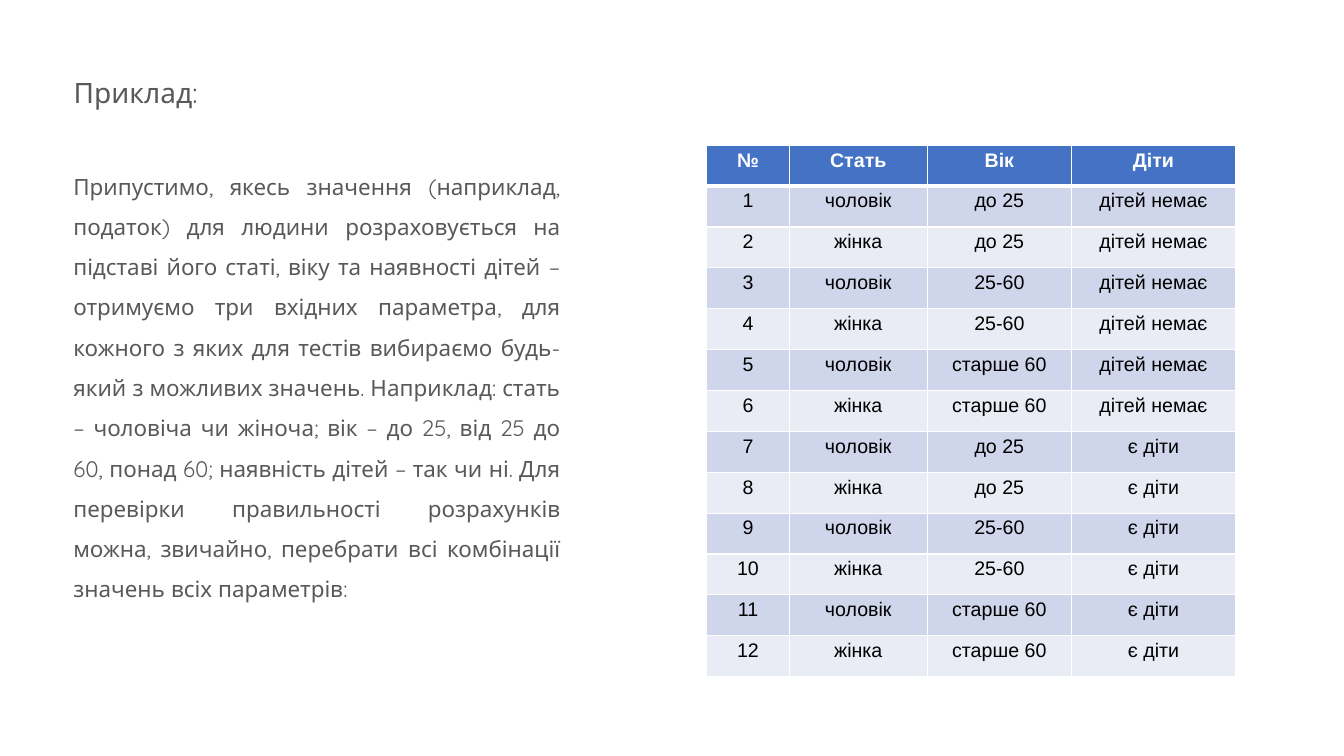
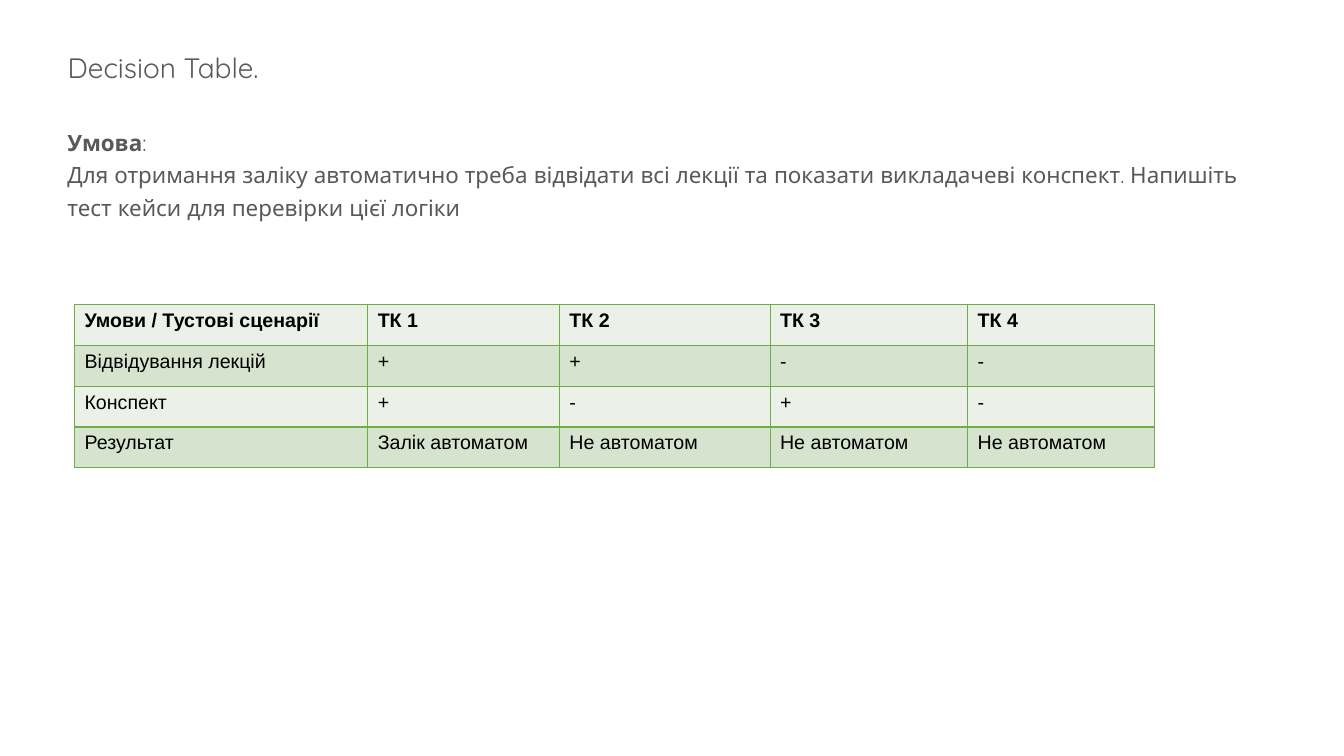
import itertools
from dataclasses import dataclass

import pptx
import pptx.dml.color
import pptx.enum.text
import pptx.oxml
import pptx.oxml.ns
import pptx.util

Cm = pptx.util.Cm
Pt = pptx.util.Pt
ALIGN = pptx.enum.text.PP_ALIGN
TITLE_ONLY = 5


@dataclass(frozen=True)
class Theme:
    text_font: str = "Quicksand"
    table_font: str = "Arial"
    title_size: int = 20
    body_size: int = 16
    cell_size: int = 14
    grey: str = "595959"
    black: str = "000000"
    white: str = "FFFFFF"
    blue: str = "4472C4"
    blue_bands: tuple = ("CFD5EA", "E9EBF5")
    green: str = "70AD47"
    green_header: str = "EBF1E9"
    green_bands: tuple = ("D5E3CF", "EBF1E9")


THEME = Theme()

CHILDREN = ["дітей немає", "є діти"]
AGES = ["до 25", "25-60", "старше 60"]
SEXES = ["чоловік", "жінка"]
COMBINATIONS = [
    (str(number), sex, age, children)
    for number, (children, age, sex) in enumerate(itertools.product(CHILDREN, AGES, SEXES), 1)
]

# Lengths are in centimetres; a paragraph is a list of (text, bold) spans.
PAGES = [
    {
        "title": "Приклад:",
        "title_at": (1.6, 1.35, 12.78, 2.54),
        "body": [[(
            "Припустимо, якесь значення (наприклад, податок) для людини розраховується "
            "на підставі його статі, віку та наявності дітей – отримуємо три вхідних "
            "параметра, для кожного з яких для тестів вибираємо будь-який з можливих "
            "значень. Наприклад: стать – чоловіча чи жіноча; вік – до 25, від 25 до 60, "
            "понад 60; наявність дітей – так чи ні. Для перевірки правильності "
            "розрахунків можна, звичайно, перебрати всі комбінації значень всіх "
            "параметрів:", False)]],
        "body_at": (1.6, 3.89, 12.78, 13.84),
        "align": ALIGN.JUSTIFY,
        "spacing": 1.5,
        "table": {
            "rows": [("№", "Стать", "Вік", "Діти")] + COMBINATIONS,
            "at": (17.81, 3.66),
            "columns": (2.08, 3.48, 3.63, 4.14),
            "align": ALIGN.CENTER,
            "margins": (0.2, 0.1),
            "header": (THEME.blue, THEME.white),
            "bands": THEME.blue_bands,
            "border": THEME.white,
            "header_rule": 3,
        },
    },
    {
        "title": "Decision Table.",
        "title_at": (1.45, 0.97, 30.1, 2.03),
        "body": [
            [("Умова", True), (":", False)],
            [("Для отримання заліку автоматично треба відвідати всі лекції та показати "
              "викладачеві конспект. Напишіть тест кейси для перевірки цієї логіки", False)],
        ],
        "body_at": (1.45, 3.0, 30.1, 3.58),
        "align": ALIGN.LEFT,
        "spacing": 1.2,
        "table": {
            "rows": [
                ("Умови / Тустові сценарії", "ТК 1", "ТК 2", "ТК 3", "ТК 4"),
                ("Відвідування лекцій", "+", "+", "-", "-"),
                ("Конспект", "+", "-", "+", "-"),
                ("Результат", "Залік автоматом") + ("Не автоматом",) * 3,
            ],
            "at": (1.88, 7.67),
            "columns": (7.39, 4.83, 5.31, 4.98, 4.7),
            "align": ALIGN.LEFT,
            "margins": (0.25, 0.13),
            "header": (THEME.green_header, THEME.black),
            "bands": THEME.green_bands,
            "border": THEME.green,
            "header_rule": 1,
        },
    },
]
ROW_HEIGHT = 1.03


def rgb(value):
    return pptx.dml.color.RGBColor.from_string(value)


def write(frame, paragraphs, *, size, font=THEME.text_font, color=THEME.grey,
          align=ALIGN.LEFT, spacing=1.0):
    """Fill a text frame with paragraphs made of (text, bold) spans."""
    for index, spans in enumerate(paragraphs):
        para = frame.add_paragraph() if index else frame.paragraphs[0]
        para.alignment = align
        para.line_spacing = spacing
        para.space_before = Pt(0)
        for text, bold in spans:
            span = para.add_run()
            span.text = text
            span.font.name = font
            span.font.size = Pt(size)
            span.font.bold = bold
            span.font.color.rgb = rgb(color)


def prepare_frame(frame):
    frame.word_wrap = True
    frame.auto_size = pptx.enum.text.MSO_AUTO_SIZE.NONE
    frame.vertical_anchor = pptx.enum.text.MSO_ANCHOR.TOP


def add_title(page, content):
    box = page.shapes.title
    box.left, box.top, box.width, box.height = map(Cm, content["title_at"])
    prepare_frame(box.text_frame)
    write(box.text_frame, [[(content["title"], False)]], size=THEME.title_size,
          align=content["align"], spacing=content["spacing"])


def add_body(page, content):
    box = page.shapes.add_textbox(*map(Cm, content["body_at"]))
    prepare_frame(box.text_frame)
    write(box.text_frame, content["body"], size=THEME.body_size,
          align=content["align"], spacing=content["spacing"])


def set_borders(cell, color, top, bottom):
    """Draw the cell's edges; call before the fill, which must follow them."""
    properties = cell._tc.get_or_add_tcPr()
    for side, width in (("L", 1), ("R", 1), ("T", top), ("B", bottom)):
        properties.append(pptx.oxml.parse_xml(
            f'<a:ln{side} {pptx.oxml.ns.nsdecls("a")} w="{Pt(width)}">'
            f'<a:solidFill><a:srgbClr val="{color}"/></a:solidFill></a:ln{side}>'))


def add_grid(page, content):
    rows, columns = content["rows"], content["columns"]
    left, top = content["at"]
    table = page.shapes.add_table(
        len(rows), len(columns), Cm(left), Cm(top),
        Cm(sum(columns)), Cm(ROW_HEIGHT * len(rows))).table
    for column, width in zip(table.columns, columns):
        column.width = Cm(width)
    side, edge = map(Cm, content["margins"])
    for row_index, row in enumerate(rows):
        is_header = row_index == 0
        fill, color = content["header"] if is_header else (
            content["bands"][(row_index - 1) % 2], THEME.black)
        table.rows[row_index].height = Cm(ROW_HEIGHT)
        for column_index, text in enumerate(row):
            cell = table.cell(row_index, column_index)
            cell.margin_left = cell.margin_right = side
            cell.margin_top = cell.margin_bottom = edge
            set_borders(cell, content["border"],
                        top=content["header_rule"] if row_index == 1 else 1,
                        bottom=content["header_rule"] if is_header else 1)
            cell.fill.solid()
            cell.fill.fore_color.rgb = rgb(fill)
            write(cell.text_frame, [[(text, is_header)]], size=THEME.cell_size,
                  font=THEME.table_font, color=color, align=content["align"])


def main():
    deck = pptx.Presentation()
    deck.slide_width, deck.slide_height = Cm(33.87), Cm(19.05)
    for content in PAGES:
        page = deck.slides.add_slide(deck.slide_layouts[TITLE_ONLY])
        add_title(page, content)
        add_body(page, content)
        add_grid(page, content["table"])
    deck.save("out.pptx")


if __name__ == "__main__":
    main()
